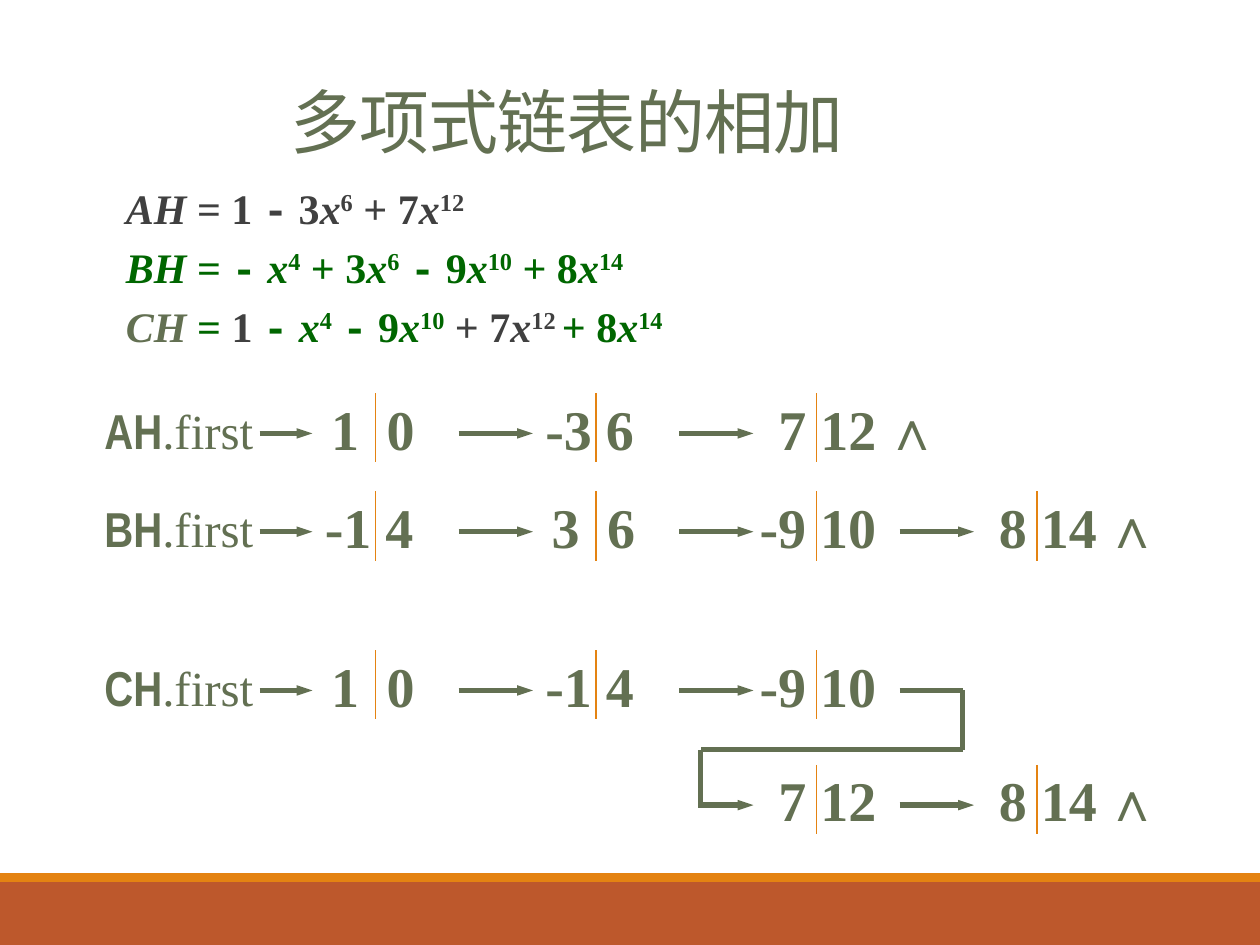
from dataclasses import dataclass
from itertools import pairwise

from lxml import etree
from pptx import Presentation
from pptx.dml.color import RGBColor
from pptx.enum.shapes import MSO_CONNECTOR, MSO_SHAPE
from pptx.enum.text import MSO_ANCHOR, PP_ALIGN
from pptx.oxml.ns import qn
from pptx.util import Pt

STRAIGHT = MSO_CONNECTOR.STRAIGHT
RECTANGLE = MSO_SHAPE.RECTANGLE
BOTTOM = MSO_ANCHOR.BOTTOM
CENTER = PP_ALIGN.CENTER
PX = 9144
TITLE_ONLY = 5


@dataclass(frozen=True)
class Theme:
    """Colours, fonts and type sizes of the deck."""
    olive: str = "637052"
    orange: str = "E48312"
    rust: str = "BD582C"
    grey: str = "404040"
    green: str = "006600"
    title_font: str = "Calibri"
    serif: str = "Times New Roman"
    label_font: str = "Arial Narrow"
    mono: str = "Courier New"
    title_size: int = 40
    formula_size: int = 24
    label_size: int = 28
    node_size: int = 32


THEME = Theme()
GREY, GREEN, OLIVE = THEME.grey, THEME.green, THEME.olive

FORMULAS = [
    [("AH", "italic", GREY), (" = 1 ", "plain", GREY), ("-", "mono", GREY),
     (" 3", "plain", GREY), ("x", "italic", GREY), ("6", "power", GREY),
     (" + 7", "plain", GREY), ("x", "italic", GREY), ("12", "power", GREY)],
    [("BH", "italic", GREEN), (" = ", "plain", GREEN), ("-", "mono", GREEN),
     (" ", "plain", GREEN), ("x", "italic", GREEN), ("4", "power", GREEN),
     (" + 3", "plain", GREEN), ("x", "italic", GREEN), ("6", "power", GREEN),
     (" ", "plain", GREEN), ("-", "mono", GREEN), (" 9", "plain", GREEN),
     ("x", "italic", GREEN), ("10", "power", GREEN), (" + 8", "plain", GREEN),
     ("x", "italic", GREEN), ("14", "power", GREEN)],
    [("CH ", "italic", OLIVE), ("= ", "plain", GREEN), ("1 ", "plain", GREY),
     ("-", "mono", GREEN), (" ", "plain", GREEN), ("x", "italic", GREEN),
     ("4", "power", GREEN), (" ", "plain", GREEN), ("-", "mono", GREEN),
     (" 9", "plain", GREEN), ("x", "italic", GREEN), ("10", "power", GREEN),
     (" + 7", "plain", GREY), ("x", "italic", GREY), ("12 ", "power", GREY),
     ("+ 8", "plain", GREEN), ("x", "italic", GREEN), ("14", "power", GREEN)],
]

COLUMN_PITCH = 175
FIRST_DIVIDER = 298
ARROW_DROP = 36
EXPONENT_TAB = 44
NODE_FRAMES = {(False, False): (45, 87), (True, False): (50, 90),
               (False, True): (40, 98), (True, True): (55, 113)}

CHAINS = [
    (308, "AH", 0, [(1, 0), (-3, 6), (7, 12)], True),
    (386, "BH", 0, [(-1, 4), (3, 6), (-9, 10), (8, 14)], True),
    (512, "CH", 0, [(1, 0), (-1, 4), (-9, 10)], False),
    (603, None, 2, [(7, 12), (8, 14)], True),
]
RETURN_PATH = [(714, 548), (764, 548), (764, 595), (556, 595), (556, 641)]


def style_span(span, font, size, color, bold=False, italic=False):
    """Format one run of text."""
    span.font.name = font
    span.font.size = Pt(size)
    span.font.bold = bold
    span.font.italic = italic
    span.font.color.rgb = RGBColor.from_string(color)


def add_span(para, text, *style, **flags):
    """Append a formatted run to a paragraph and return it."""
    span = para.add_run()
    span.text = text
    style_span(span, *style, **flags)
    return span


def add_box(page, left, top, width, height):
    """Add a text box with room on its right and return its first paragraph."""
    box = page.shapes.add_textbox(left * PX, top * PX, width * PX, height * PX)
    box.text_frame.word_wrap = True
    box.text_frame.margin_right = 0
    return box.text_frame.paragraphs[0]


def add_line(page, start, end, color=THEME.olive, weight=3, arrow=False):
    """Draw a straight line, with an arrowhead at its end if asked."""
    line = page.shapes.add_connector(
        STRAIGHT, *(value * PX for value in (*start, *end)))
    line.line.color.rgb = RGBColor.from_string(color)
    line.line.width = Pt(weight)
    if arrow:
        etree.SubElement(line.line._get_or_add_ln(), qn("a:tailEnd"),
                         type="triangle", w="sm", len="med")
    etree.SubElement(line._element.spPr, qn("a:effectLst"))


def add_band(page, top, height, color):
    """Fill a full-width band of the page."""
    band = page.shapes.add_shape(RECTANGLE, 0, top * PX, 1000 * PX, height * PX)
    band.shadow.inherit = False
    band.fill.solid()
    band.fill.fore_color.rgb = RGBColor.from_string(color)
    band.line.fill.background()


def add_title(page, left, top, width, height):
    """Place and format the title placeholder."""
    title = page.shapes.title
    title.left, title.top = left * PX, top * PX
    title.width, title.height = width * PX, height * PX
    frame = title.text_frame
    frame.text = "多项式链表的相加"
    frame.vertical_anchor = BOTTOM
    para = frame.paragraphs[0]
    para.alignment = CENTER
    para.line_spacing = 0.85
    span = para.runs[0]
    style_span(span, THEME.title_font, THEME.title_size, THEME.olive)
    span.font._element.set("spc", "-50")


def add_formulas(page, left, top, width, height):
    """Write the three polynomials, one to a paragraph."""
    box = page.shapes.add_textbox(left * PX, top * PX, width * PX, height * PX)
    frame = box.text_frame
    frame.word_wrap = True
    frame.margin_left = frame.margin_right = 0
    for index, formula in enumerate(FORMULAS):
        para = frame.add_paragraph() if index else frame.paragraphs[0]
        para.line_spacing = 1.1
        para.space_after = Pt(2)
        for text, kind, color in formula:
            font = THEME.mono if kind == "mono" else THEME.serif
            span = add_span(para, text, font, THEME.formula_size, color,
                            bold=True, italic=kind == "italic")
            if kind == "power":
                span.font._element.set("baseline", "30000")


def add_node(page, divider, top, coefficient, exponent):
    """Write one list node on both sides of its divider."""
    negative, wide = coefficient < 0, exponent > 9
    offset, width = NODE_FRAMES[negative, wide]
    para = add_box(page, divider - offset, top, width, 63)
    gap = " " if negative or wide else "\t"
    if gap == "\t":
        tabs = etree.SubElement(para._p.get_or_add_pPr(), qn("a:tabLst"))
        etree.SubElement(tabs, qn("a:tab"), pos=str(EXPONENT_TAB * PX), algn="l")
    add_span(para, f"{coefficient}{gap}{exponent}", THEME.serif,
             THEME.node_size, THEME.olive, bold=True)
    add_line(page, (divider, top + 4), (divider, top + 59), THEME.orange, 0.75)


def add_chain(page, top, name, column, nodes, closed):
    """Draw a row of linked nodes, with its head label and end mark."""
    level = top + ARROW_DROP
    if name:
        para = add_box(page, 73, top + 5, 139, 57)
        add_span(para, name, THEME.label_font, THEME.label_size, THEME.olive,
                 bold=True)
        add_span(para, ".first", THEME.serif, THEME.label_size, THEME.olive)
    divider = FIRST_DIVIDER + column * COLUMN_PITCH
    add_line(page, (divider - 92, level), (divider - 50, level), arrow=True)
    for index, node in enumerate(nodes):
        if index:
            add_line(page, (divider + 66, level), (divider + 125, level),
                     arrow=True)
            divider += COLUMN_PITCH
        add_node(page, divider, top, *node)
    if closed:
        para = add_box(page, divider + 44, top, 47, 63)
        add_span(para, "∧", THEME.serif, THEME.node_size, THEME.olive, bold=True)


def main():
    """Build the deck and save it."""
    deck = Presentation()
    deck.slide_width, deck.slide_height = 1000 * PX, 750 * PX
    page = deck.slides.add_slide(deck.slide_layouts[TITLE_ONLY])
    add_band(page, 700, 50, THEME.rust)
    add_band(page, 693, 7, THEME.orange)
    add_title(page, 0, 48, 900, 86)
    add_formulas(page, 100, 136, 900, 150)
    for chain in CHAINS:
        add_chain(page, *chain)
    for start, end in pairwise(RETURN_PATH):
        add_line(page, start, end)
    deck.save("out.pptx")


if __name__ == "__main__":
    main()
